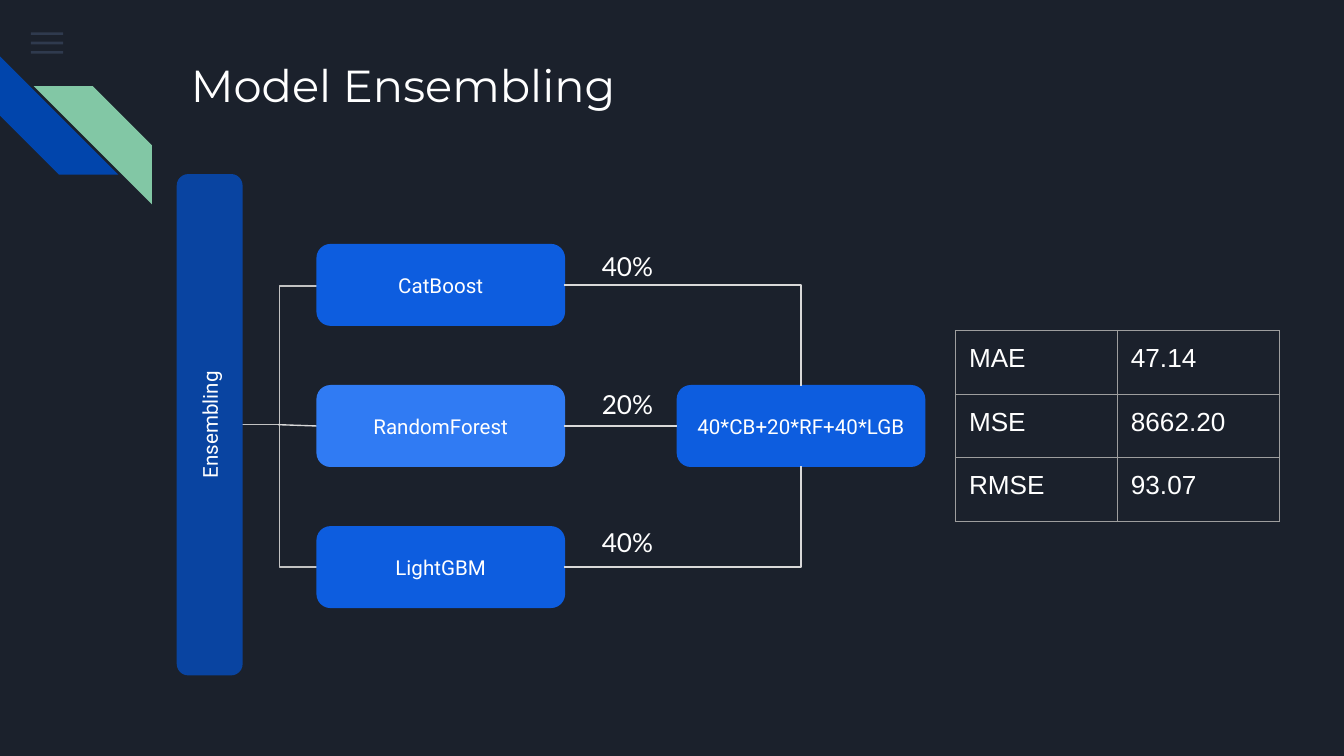
from dataclasses import dataclass

from lxml.etree import SubElement
from pptx import Presentation
from pptx.dml.color import RGBColor
from pptx.enum.shapes import MSO_CONNECTOR, MSO_SHAPE
from pptx.enum.text import MSO_ANCHOR, PP_ALIGN
from pptx.oxml.ns import qn
from pptx.util import Inches, Pt


@dataclass(frozen=True)
class Theme:
    """Colours, fonts and sizes of the slide."""
    background: str = "1B212C"
    text: str = "FFFFFF"
    menu: str = "55688B"
    stripe_blue: str = "0145AC"
    stripe_green: str = "82C7A5"
    bar: str = "0944A1"
    box: str = "0D5DDF"
    box_light: str = "307BF3"
    branch: str = "C2C2C2"
    merge: str = "D9D9D9"
    border: str = "9E9E9E"
    title_size: float = 24
    label_size: float = 14
    box_size: float = 11
    line_width: float = 0.75


THEME = Theme()
TOP, LEFT, BOTTOM, RIGHT = range(4)
MODELS = [("CatBoost", "40%", THEME.box),
          ("RandomForest", "20%", THEME.box_light),
          ("LightGBM", "40%", THEME.box)]
METRICS = [("MAE", "47.14"), ("MSE", "8662.20"), ("RMSE", "93.07")]


def rgb(value):
    """Turn a hex string into a colour."""
    return RGBColor.from_string(value)


def write(frame, text, *, font, size, align=PP_ALIGN.LEFT, anchor=MSO_ANCHOR.TOP):
    """Put one formatted paragraph into a text frame."""
    frame.word_wrap = True
    frame.vertical_anchor = anchor
    frame.margin_left = frame.margin_right = Inches(0.1)
    frame.margin_top = frame.margin_bottom = Inches(0.1)
    para = frame.paragraphs[0]
    para.alignment = align
    span = para.add_run()
    span.text = text
    span.font.name = font
    span.font.size = Pt(size)
    span.font.color.rgb = rgb(THEME.text)


def add_plain(page, kind, left, top, width, height, color):
    """Add a filled shape without outline or shadow."""
    shape = page.shapes.add_shape(
        kind, Inches(left), Inches(top), Inches(width), Inches(height))
    shape.shadow.inherit = False
    shape.fill.solid()
    shape.fill.fore_color.rgb = rgb(color)
    shape.line.fill.background()
    return shape


def add_box(page, text, left, top, width, height, color):
    """Add a rounded box with centred text."""
    box = add_plain(page, MSO_SHAPE.ROUNDED_RECTANGLE, left, top, width, height, color)
    box.line.color.rgb = rgb(color)
    box.line.width = Pt(THEME.line_width)
    write(box.text_frame, text, font="Roboto", size=THEME.box_size,
          align=PP_ALIGN.CENTER, anchor=MSO_ANCHOR.MIDDLE)
    return box


def add_label(page, text, left, top, width, height):
    """Add a weight label."""
    label = page.shapes.add_textbox(
        Inches(left), Inches(top), Inches(width), Inches(height))
    write(label.text_frame, text, font="Lato", size=THEME.label_size)


def add_line(page, start, end, color, kind=MSO_CONNECTOR.ELBOW):
    """Add a thin connector between two points."""
    line = page.shapes.add_connector(kind, *map(Inches, start + end))
    line.line.color.rgb = rgb(color)
    line.line.width = Pt(THEME.line_width)
    SubElement(line._element.spPr, qn("a:effectLst"))
    return line


def add_merge(page, source, target, site):
    """Connect a model box to the blend box at the given site."""
    line = add_line(page, (0, 0), (1, 1), THEME.merge)
    line.begin_connect(source, RIGHT)
    line.end_connect(target, site)
    if site != LEFT:
        line._element.spPr.find(qn("a:prstGeom")).set("prst", "bentConnector2")


def add_decoration(page):
    """Add the menu bars and the two corner stripes."""
    for index in range(3):
        bar = add_plain(page, MSO_SHAPE.RECTANGLE, 0.23, 0.24 + 0.07 * index,
                        0.24, 0.02, THEME.menu)
        color = bar._element.spPr.find(qn("a:solidFill"))[0]
        SubElement(color, qn("a:alpha"), val="36000")
    blue = add_plain(page, MSO_SHAPE.DIAGONAL_STRIPE, 0, 0.42, 0.88, 0.88,
                     THEME.stripe_blue)
    blue.rotation = 270
    green = add_plain(page, MSO_SHAPE.DIAGONAL_STRIPE, 0.25, 0.64, 0.88, 0.88,
                      THEME.stripe_green)
    green._element.spPr.find(qn("a:xfrm")).set("flipH", "1")


def add_title(page, text):
    """Place and fill the title placeholder."""
    title = page.shapes.title
    title.left, title.top = Inches(1.32), Inches(0.33)
    title.width, title.height = Inches(5.86), Inches(0.78)
    write(title.text_frame, text, font="Montserrat", size=THEME.title_size)


def add_diagram(page):
    """Add the ensembling bar, the models and their weighted blend."""
    trunk = (1.8, 3.16)
    for middle in (4.22, 2.13):
        add_line(page, trunk, (2.36, middle), THEME.branch)
    add_line(page, (2.07, 3.16), (2.36, 3.17), THEME.merge, MSO_CONNECTOR.STRAIGHT)
    bar = add_box(page, "Ensembling", -0.3, 2.92, 3.72, 0.48, THEME.bar)
    bar.rotation = 270
    blend = add_box(page, "40*CB+20*RF+40*LGB", 5.04, 2.87, 1.84, 0.6, THEME.box)
    sites = (TOP, LEFT, BOTTOM)
    for index, ((name, weight, color), site) in enumerate(zip(MODELS, sites)):
        model = add_box(page, name, 2.36, 2.87 + 1.05 * (index - 1), 1.84, 0.6, color)
        add_merge(page, model, blend, site)
        add_label(page, weight, 4.38, 1.76 + 1.03 * index, 0.67, 0.26)


def add_borders(cell):
    """Draw a thin line on every side of a cell."""
    properties = cell._tc.get_or_add_tcPr()
    for position, side in enumerate(("lnL", "lnR", "lnT", "lnB")):
        border = SubElement(properties, qn(f"a:{side}"), w=str(Pt(THEME.line_width)))
        fill = SubElement(border, qn("a:solidFill"))
        SubElement(fill, qn("a:srgbClr"), val=THEME.border)
        properties.insert(position, border)


def add_metrics(page):
    """Add the table of error metrics."""
    table = page.shapes.add_table(len(METRICS), len(METRICS[0]), Inches(7.11),
                                  Inches(2.46), Inches(2.41), Inches(1.42)).table
    table.first_row = table.horz_banding = False
    for row, values in enumerate(METRICS):
        for column, value in enumerate(values):
            cell = table.cell(row, column)
            cell.fill.background()
            cell.margin_left = cell.margin_right = Inches(0.1)
            cell.margin_top = cell.margin_bottom = Inches(0.1)
            write(cell.text_frame, value, font="Arial", size=THEME.label_size)
            add_borders(cell)


def main():
    """Build and save the deck."""
    deck = Presentation()
    deck.slide_width = Inches(10)
    deck.slide_height = deck.slide_width * 9 // 16
    page = deck.slides.add_slide(deck.slide_layouts[5])
    page.background.fill.solid()
    page.background.fill.fore_color.rgb = rgb(THEME.background)
    add_decoration(page)
    add_title(page, "Model Ensembling")
    add_diagram(page)
    add_metrics(page)
    deck.save("out.pptx")


if __name__ == "__main__":
    main()
